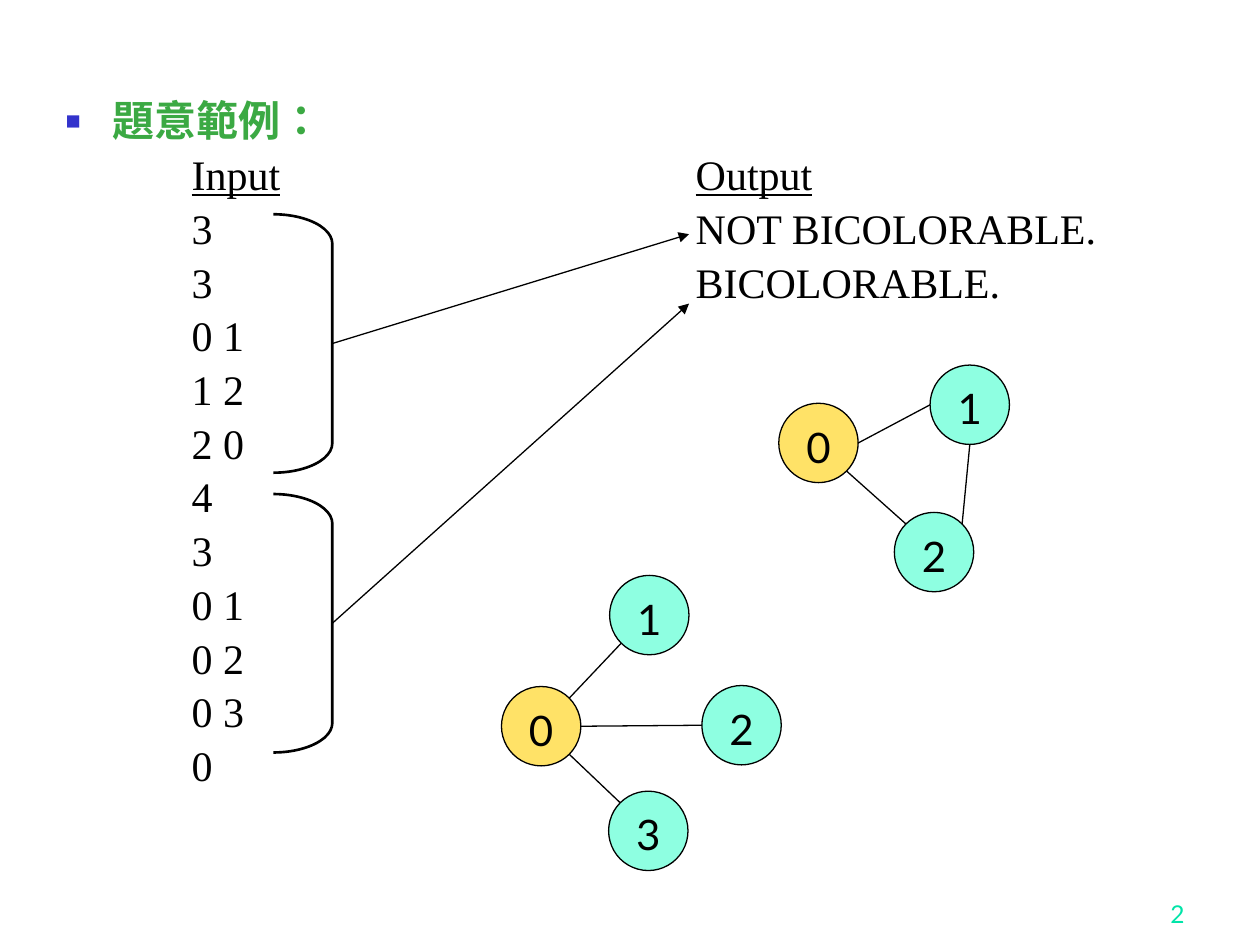
from dataclasses import dataclass
from math import sqrt

from lxml import etree
from pptx import Presentation
from pptx import util as u
from pptx.dml.color import RGBColor
from pptx.enum import shapes, text
from pptx.oxml import ns


@dataclass(frozen=True)
class Theme:
    serif: str = "Times New Roman"
    sans: str = "Lato"
    ink: str = "000000"
    heading: str = "3BA943"
    bullet: str = "3333CC"
    number: str = "00E4A8"
    start: str = "FFE267"
    node: str = "8EFFE1"
    body_size: int = 24
    number_size: int = 14
    thin: float = 0.75
    thick: float = 1.5


THEME = Theme()

HEADING = "題意範例："
COLUMN_TITLES = ("Input", "Output")
ROWS = [
    ("3", "NOT BICOLORABLE."), ("3", "BICOLORABLE."),
    ("0 1",), ("1 2",), ("2 0",), ("4",), ("3",),
    ("0 1",), ("0 2",), ("0 3",), ("0",),
]
PAGE_NUMBER = "2"

BODY_BOX = (1.07, 1.9, 23.06, 15.62)
NUMBER_BOX = (18.85, 17.58, 5.28, 1.27)
HEADING_INDENT, INPUT_INDENT = 0.95, 2.54
OUTPUT_STOP, CHARACTERS_PER_STOP = 8, 4
BRACKET_LEFT, BRACKET_WIDTH, BRACKET_HEIGHT = 5.51, 1.19, 5.21
ARROW_END = 13.89
CASES = [(4.32, 4.72), (9.96, 6.12)]

DIAMETER = 1.6
GRAPHS = [
    {
        "nodes": {"0": (15.7, 8.13), "1": (18.75, 7.36), "2": (18.03, 10.33)},
        "edges": [("0", "right", "1", "left"),
                  ("0", "bottom right", "2", "top left"),
                  ("1", "bottom", "2", "top right")],
    },
    {
        "nodes": {"0": (10.11, 13.84), "1": (12.29, 11.6),
                  "2": (14.15, 13.82), "3": (12.27, 15.95)},
        "edges": [("0", "top right", "1", "bottom left"),
                  ("0", "right", "2", "left"),
                  ("0", "bottom right", "3", "top left")],
    },
]
DIRECTIONS = {"left": (-1, 0), "right": (1, 0), "top": (0, -1), "bottom": (0, 1)}


def cm(values):
    return [u.Cm(value) for value in values]


def add_xml(parent, tag, **attributes):
    return etree.SubElement(parent, ns.qn(tag), attributes)


def style_font(font, name, size, color):
    font.name = name
    font.size = u.Pt(size)
    font.color.rgb = RGBColor.from_string(color)


def style_line(line, width):
    line.color.rgb = RGBColor.from_string(THEME.ink)
    line.width = u.Pt(width)


def add_line(slide, start, end, arrow=False):
    connector = slide.shapes.add_connector(
        shapes.MSO_CONNECTOR.STRAIGHT, *cm((*start, *end)))
    style_line(connector.line, THEME.thin)
    properties = connector._element.spPr
    if arrow:
        add_xml(properties.find(ns.qn("a:ln")), "a:tailEnd", type="triangle")
    add_xml(properties, "a:effectLst")


def format_paragraph(paragraph, margin, indent):
    paragraph.line_spacing = 0.9
    properties = paragraph._p.get_or_add_pPr()
    properties.set("marL", str(u.Cm(margin)))
    properties.set("indent", str(u.Cm(indent)))
    return properties


def split_row(row):
    if len(row) == 1:
        return row
    left, right = row
    tabs = OUTPUT_STOP - len(left) // CHARACTERS_PER_STOP
    return left, "\t" * tabs, right


def add_body(slide):
    body = slide.placeholders[1]
    body.left, body.top, body.width, body.height = cm(BODY_BOX)
    frame = body.text_frame
    frame.auto_size = text.MSO_AUTO_SIZE.NONE

    heading = frame.paragraphs[0]
    heading.text = HEADING
    run = heading.runs[0]
    style_font(run.font, THEME.serif, THEME.body_size, THEME.heading)
    run.font.bold = True
    run._r.get_or_add_rPr().set("lang", "zh-TW")
    properties = format_paragraph(heading, HEADING_INDENT, -HEADING_INDENT)
    add_xml(add_xml(properties, "a:buClr"), "a:srgbClr", val=THEME.bullet)
    add_xml(properties, "a:buSzPct", val="60000")
    add_xml(properties, "a:buChar", char="■")

    for row in [COLUMN_TITLES, *ROWS]:
        paragraph = frame.add_paragraph()
        add_xml(format_paragraph(paragraph, INPUT_INDENT, 0), "a:buNone")
        for part in split_row(row):
            run = paragraph.add_run()
            run.text = part
            style_font(run.font, THEME.serif, THEME.body_size, THEME.ink)
            run.font.underline = part in COLUMN_TITLES


def add_case(slide, top, arrow_top):
    bracket = slide.shapes.add_shape(
        shapes.MSO_SHAPE.RIGHT_BRACKET,
        *cm((BRACKET_LEFT, top, BRACKET_WIDTH, BRACKET_HEIGHT)))
    bracket.adjustments[0] = 0.5
    bracket.fill.background()
    bracket.shadow.inherit = False
    style_line(bracket.line, THEME.thick)
    middle = (BRACKET_LEFT + BRACKET_WIDTH, top + BRACKET_HEIGHT / 2)
    add_line(slide, middle, (ARROW_END, arrow_top), arrow=True)


def add_node(slide, label, position):
    node = slide.shapes.add_shape(
        shapes.MSO_SHAPE.OVAL, *cm((*position, DIAMETER, DIAMETER)))
    node.shadow.inherit = False
    node.fill.solid()
    node.fill.fore_color.rgb = RGBColor.from_string(
        THEME.start if label == "0" else THEME.node)
    style_line(node.line, THEME.thin)
    frame = node.text_frame
    frame.word_wrap = False
    frame.vertical_anchor = text.MSO_ANCHOR.TOP
    frame.text = label
    paragraph = frame.paragraphs[0]
    paragraph.alignment = text.PP_ALIGN.CENTER
    style_font(paragraph.runs[0].font, THEME.sans, THEME.body_size, THEME.ink)


def rim_point(position, side):
    directions = [DIRECTIONS[word] for word in side.split()]
    reach = DIAMETER / 2 / sqrt(len(directions))
    return [start + DIAMETER / 2 + reach * sum(steps)
            for start, steps in zip(position, zip(*directions))]


def add_graph(slide, nodes, edges):
    for label, position in nodes.items():
        add_node(slide, label, position)
    for first, first_side, second, second_side in edges:
        add_line(slide, rim_point(nodes[first], first_side),
                 rim_point(nodes[second], second_side))


def add_page_number(slide):
    frame = slide.shapes.add_textbox(*cm(NUMBER_BOX)).text_frame
    frame.word_wrap = True
    frame.vertical_anchor = text.MSO_ANCHOR.BOTTOM
    frame.text = PAGE_NUMBER
    paragraph = frame.paragraphs[0]
    paragraph.alignment = text.PP_ALIGN.RIGHT
    style_font(paragraph.runs[0].font, THEME.sans, THEME.number_size, THEME.number)


def main():
    presentation = Presentation()
    presentation.slide_width, presentation.slide_height = cm((25.4, 19.05))
    slide = presentation.slides.add_slide(presentation.slide_layouts[1])
    title = slide.shapes.title._element
    title.getparent().remove(title)
    add_page_number(slide)
    add_body(slide)
    for top, arrow_top in CASES:
        add_case(slide, top, arrow_top)
    for graph in GRAPHS:
        add_graph(slide, **graph)
    presentation.save("out.pptx")


if __name__ == "__main__":
    main()
